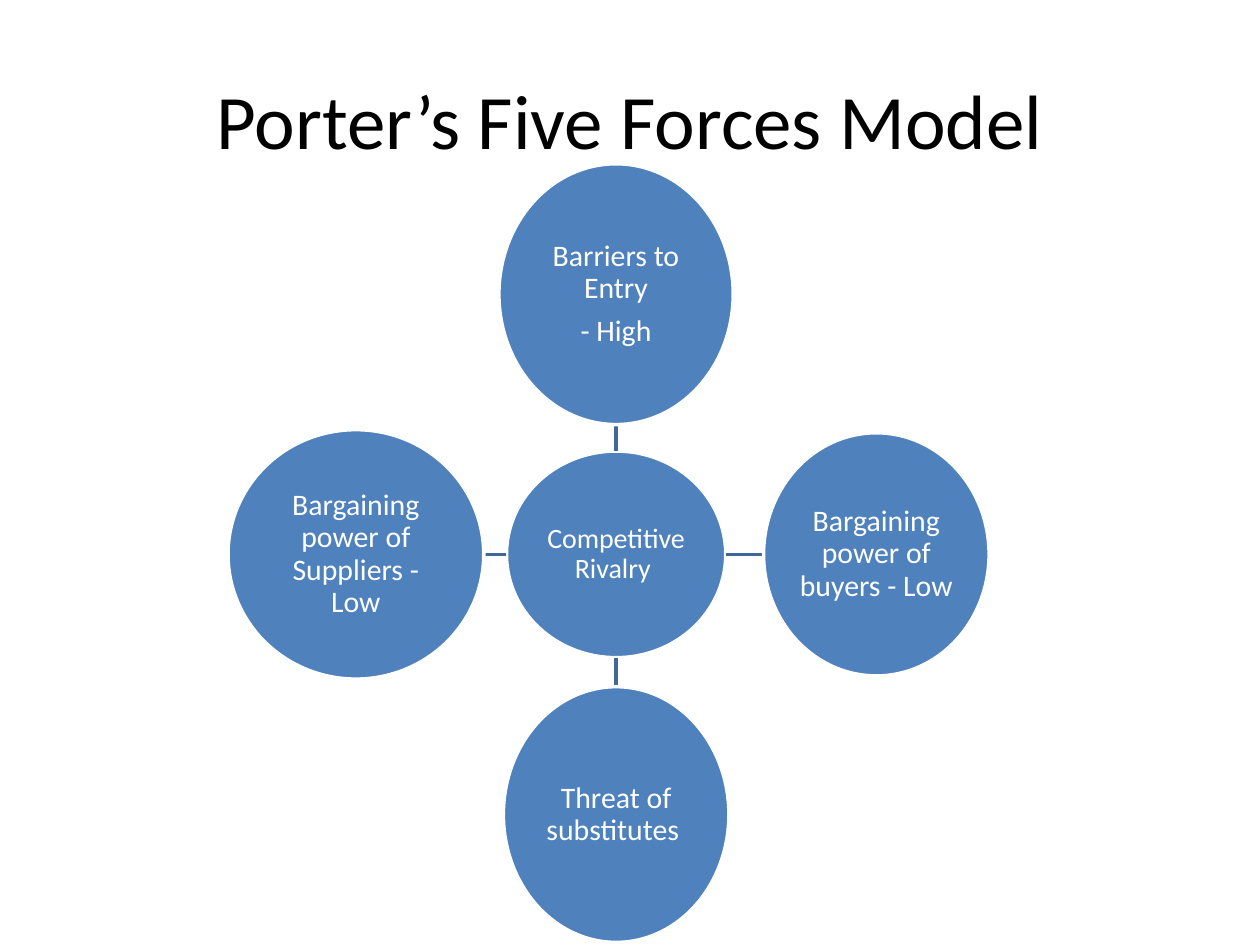
from pptx import Presentation
from pptx.dml.color import RGBColor
from pptx.enum.shapes import MSO_CONNECTOR, MSO_SHAPE
from pptx.enum.text import MSO_ANCHOR, PP_ALIGN
from pptx.oxml.ns import qn
from pptx.util import Inches, Pt

STRAIGHT = MSO_CONNECTOR.STRAIGHT
OVAL = MSO_SHAPE.OVAL
MIDDLE = MSO_ANCHOR.MIDDLE
CENTER = PP_ALIGN.CENTER

BLUE = RGBColor(0x4F, 0x81, 0xBD)
DARK_BLUE = RGBColor(0x3F, 0x67, 0x97)
WHITE = RGBColor(0xFF, 0xFF, 0xFF)
BLACK = RGBColor(0, 0, 0)
FONT = "Calibri"

TITLE_BOX = (0.75, 0.14, 8.5, 1.61)
DIAGRAM_BOX = (1.81, 1.3, 6.04, 6.18)
HUB_CENTER = (3.08, 3.1)
HUB_SIZE = (1.74, 1.64)
REACH = 2.065
FORCES = [
    ("Barriers to Entry\n- High", (0, -1), (1.86, 2.07)),
    ("Bargaining power of buyers - Low", (1, 0), (1.79, 1.93)),
    ("Threat of substitutes ", (0, 1), (1.79, 2.03)),
    ("Bargaining power of Suppliers - Low", (-1, 0), (2.03, 1.98)),
]


def format_text(frame, size, color):
    """Centre the text of a frame and set its font."""
    frame.word_wrap = True
    frame.vertical_anchor = MIDDLE
    for para in frame.paragraphs:
        para.alignment = CENTER
        for span in para.runs:
            span.font.name = FONT
            span.font.size = Pt(size)
            span.font.color.rgb = color


def add_title(page, box):
    """Place the title in the given box."""
    title = page.shapes.title
    title.left, title.top, title.width, title.height = map(Inches, box)
    title.text_frame.text = "Porter’s Five Forces Model"
    format_text(title.text_frame, 44, BLACK)


def add_circle(page, text, center, size, font_size):
    """Draw a labelled ellipse around a centre."""
    corner = [middle - length / 2 for middle, length in zip(center, size)]
    circle = page.shapes.add_shape(OVAL, *map(Inches, (*corner, *size)))
    circle.shadow.inherit = False
    circle.fill.solid()
    circle.fill.fore_color.rgb = BLUE
    circle.line.color.rgb = WHITE
    circle.line.width = Pt(2)
    frame = circle.text_frame
    frame.text = text
    frame.margin_left = frame.margin_right = Inches(0.01)
    frame.margin_top = frame.margin_bottom = Inches(0.01)
    format_text(frame, font_size, WHITE)
    for para in frame.paragraphs:
        para.line_spacing = 0.9
        para.space_after = Pt(6)


def add_spoke(page, start, end):
    """Draw a plain line between two points."""
    spoke = page.shapes.add_connector(STRAIGHT, *map(Inches, (*start, *end)))
    spoke.line.color.rgb = DARK_BLUE
    spoke.line.width = Pt(2)
    properties = spoke.element.spPr
    properties.append(properties.makeelement(qn("a:effectLst"), {}))


def move(point, direction, distances):
    """Shift a point along a direction."""
    return [p + d * length for p, d, length in zip(point, direction, distances)]


def add_diagram(page, box):
    """Place the hub and its four forces in the given box."""
    hub = [edge + offset for edge, offset in zip(box, HUB_CENTER)]
    add_circle(page, "Competitive Rivalry ", hub, HUB_SIZE, 16)
    for text, direction, size in FORCES:
        center = move(hub, direction, (REACH, REACH))
        start = move(hub, direction, [length / 2 for length in HUB_SIZE])
        end = move(center, direction, [-length / 2 for length in size])
        add_spoke(page, start, end)
        add_circle(page, text, center, size, 17)


def main():
    """Build and save the deck."""
    deck = Presentation()
    deck.slide_width, deck.slide_height = Inches(10), Inches(7.5)
    page = deck.slides.add_slide(deck.slide_layouts.get_by_name("Title Only"))
    add_title(page, TITLE_BOX)
    add_diagram(page, DIAGRAM_BOX)
    deck.save("out.pptx")


if __name__ == "__main__":
    main()
